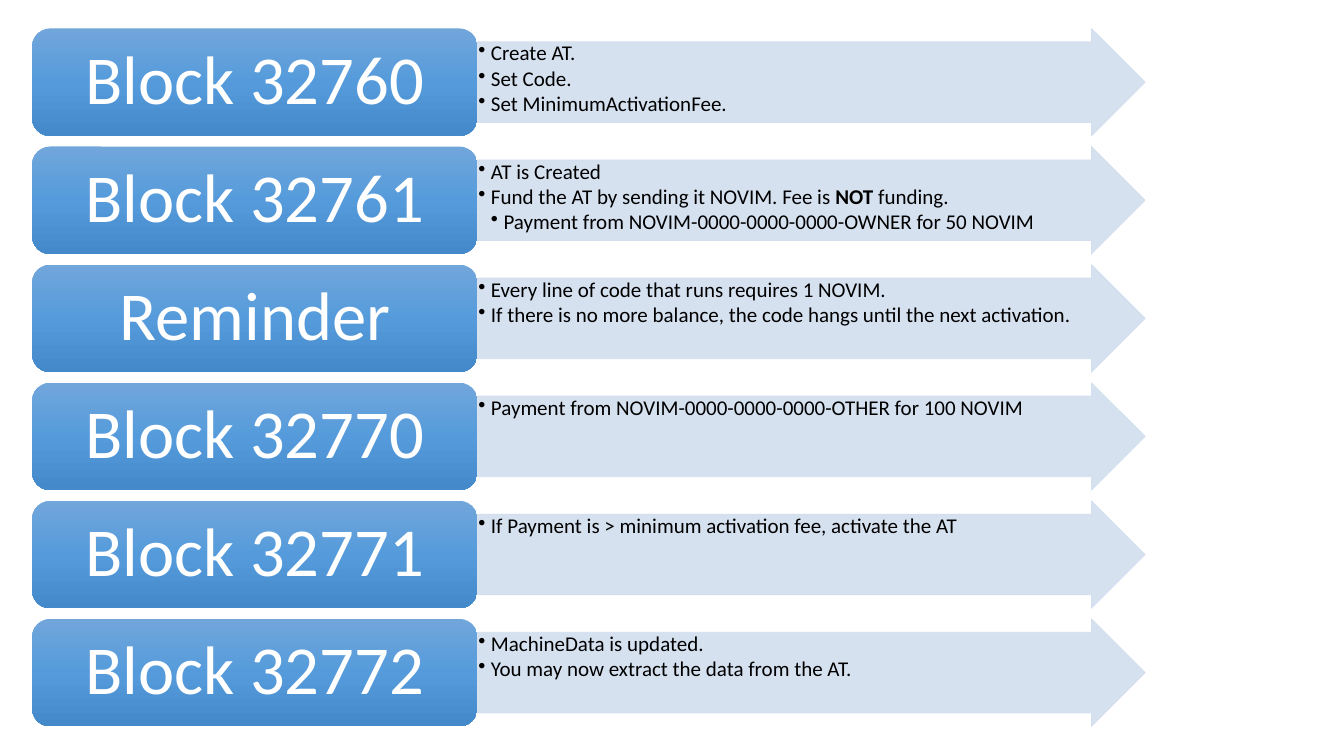
import copy
import dataclasses

import pptx
import pptx.dml.color
import pptx.enum.shapes
import pptx.enum.text
import pptx.oxml.ns
import pptx.util
from lxml import etree

Pt = pptx.util.Pt
RGB = pptx.dml.color.RGBColor.from_string
Shape = pptx.enum.shapes.MSO_SHAPE
Align = pptx.enum.text.PP_ALIGN
Anchor = pptx.enum.text.MSO_ANCHOR
qn = pptx.oxml.ns.qn


@dataclasses.dataclass(frozen=True)
class Theme:
    """Colours, font and type sizes."""
    font: str = "Calibri"
    head: int = 49
    body: int = 15
    light: str = "FFFFFF"
    dark: str = "000000"
    arrow: str = "D2DEEF"
    alpha: int = 90
    stops: tuple = ((0, "71A6DB"), (0.5, "559BDB"), (1, "448ACA"))


class Deck:
    """Holds the theme and the current slide."""

    def __init__(self, theme, slide):
        """Keep the theme and the slide."""
        self.theme, self.slide = theme, slide

    def shape(self, kind, box, pads, anchor):
        """Add a preset shape with its text frame set up."""
        shape = self.slide.shapes.add_shape(kind, *map(Pt, box))
        shape.shadow.inherit = False
        frame = shape.text_frame
        frame.word_wrap = True
        frame.vertical_anchor = anchor
        (frame.margin_left, frame.margin_top,
         frame.margin_right, frame.margin_bottom) = map(Pt, pads)
        return shape

    def style(self, para, size, color, align):
        """Set font, spacing and alignment of a paragraph."""
        para.font.name = self.theme.font
        para.font.size = Pt(size)
        para.font.color.rgb = RGB(color)
        para.line_spacing = 0.9
        para.alignment = align

    def fade(self, shape):
        """Fill a shape with the vertical gradient."""
        fill = shape.fill
        fill.gradient()
        fill.gradient_angle = 270
        stops = next(shape._element.spPr.iter(qn("a:gsLst")))
        stops.append(copy.deepcopy(stops[-1]))
        for stop, (place, color) in zip(fill.gradient_stops, self.theme.stops):
            stop.position = place
            stop.color.rgb = RGB(color)

    def label(self, text, box):
        """Add a rounded heading block."""
        shape = self.shape(Shape.ROUNDED_RECTANGLE, box, (14, 7, 14, 7), Anchor.MIDDLE)
        self.fade(shape)
        shape.line.fill.background()
        para = shape.text_frame.paragraphs[0]
        para.text = text
        self.style(para, self.theme.head, self.theme.light, Align.CENTER)

    def arrow(self, items, box):
        """Add an arrow that carries bullets."""
        shape = self.shape(Shape.RIGHT_ARROW, box, (0.7, 0.7, 20, 0.7), Anchor.TOP)
        shape.adjustments[0], shape.adjustments[1] = 0.75, 0.5
        shape.line.width = Pt(0.5)
        for fill in (shape.fill, shape.line.fill):
            fill.solid()
            fill.fore_color.rgb = RGB(self.theme.arrow)
        for color in shape._element.spPr.iter(qn("a:srgbClr")):
            etree.SubElement(color, qn("a:alpha"), val=str(self.theme.alpha * 1000))
        frame = shape.text_frame
        for i, (level, text) in enumerate(items):
            para = frame.add_paragraph() if i else frame.paragraphs[0]
            self.bullet(para, level, text)

    def bullet(self, para, level, text):
        """Write one bullet; words between asterisks are bold."""
        for i, part in enumerate(text.split("*")):
            run = para.add_run()
            run.text = part
            if i % 2:
                run.font.bold = True
        self.style(para, self.theme.body, self.theme.dark, Align.LEFT)
        para.space_after = Pt(1.8)
        para.level = level
        props = para._p.get_or_add_pPr()
        props.set("marL", str(Pt(9 * level)))
        props.set("indent", str(Pt(-9)))
        mark = etree.Element(qn("a:buChar"), char="\u2022")
        props.find(qn("a:spcAft")).addnext(mark)


ROWS = (
    ("Block 32760", ((1, "Create AT."), (1, "Set Code."),
                     (1, "Set MinimumActivationFee."))),
    ("Block 32761", ((1, "AT is Created"),
                     (1, "Fund the AT by sending it NOVIM. Fee is *NOT* funding."),
                     (2, "Payment from NOVIM-0000-0000-0000-OWNER for 50 NOVIM"))),
    ("Reminder", ((1, "Every line of code that runs requires 1 NOVIM."),
                  (1, "If there is no more balance, the code hangs until "
                      "the next activation."))),
    ("Block 32770", ((1, "Payment from NOVIM-0000-0000-0000-OTHER for 100 NOVIM"),)),
    ("Block 32771", ((1, "If Payment is > minimum activation fee, activate the AT"),)),
    ("Block 32772", ((1, "MachineData is updated."),
                     (1, "You may now extract the data from the AT."))),
)
LEFT, TOP, HIGH, STEP = 23, 20.3, 76.8, 84.35
HEAD, WIDE = 318, 477


def main():
    """Build and save the slide."""
    show = pptx.Presentation()
    show.slide_width, show.slide_height = Pt(960), Pt(540)
    deck = Deck(Theme(), show.slides.add_slide(show.slide_layouts[6]))
    for i, (title, items) in enumerate(ROWS):
        top = TOP + i * STEP
        deck.arrow(items, (LEFT + HEAD, top, WIDE, HIGH))
        deck.label(title, (LEFT, top, HEAD, HIGH))
    show.save("out.pptx")


main()
